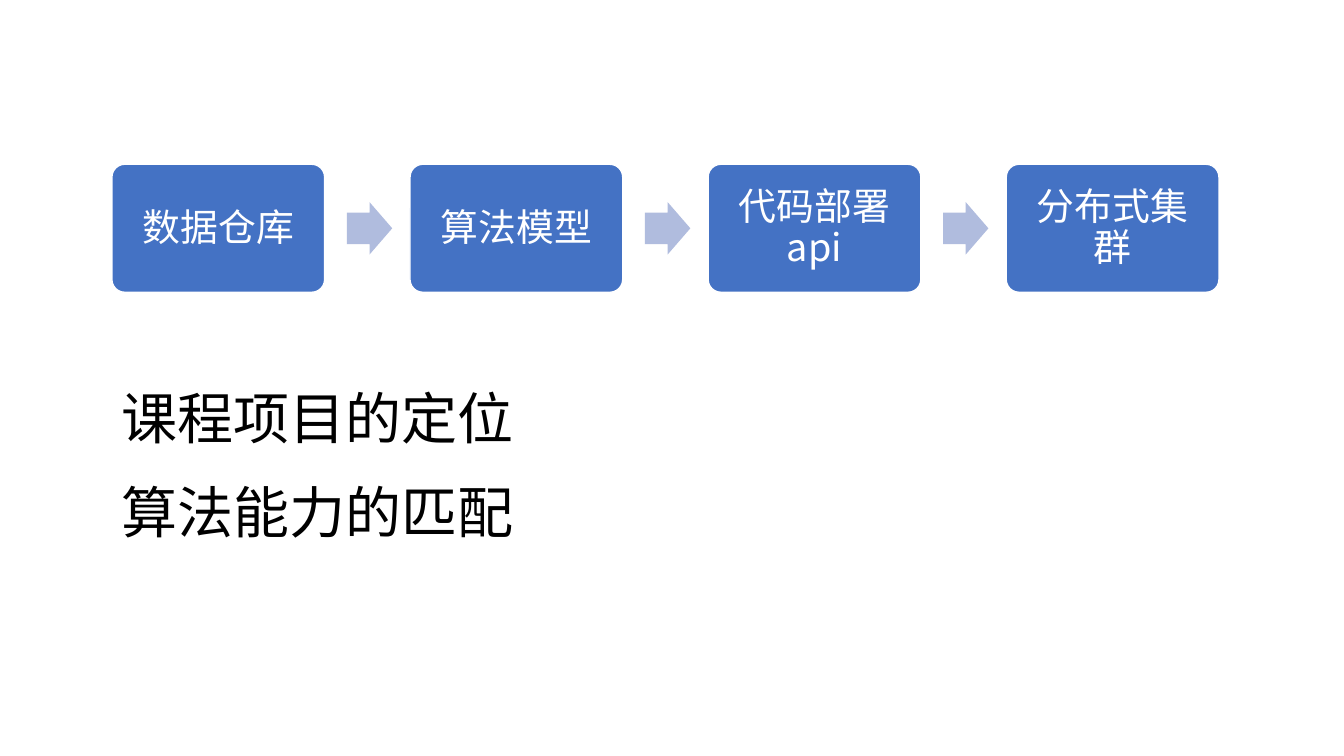
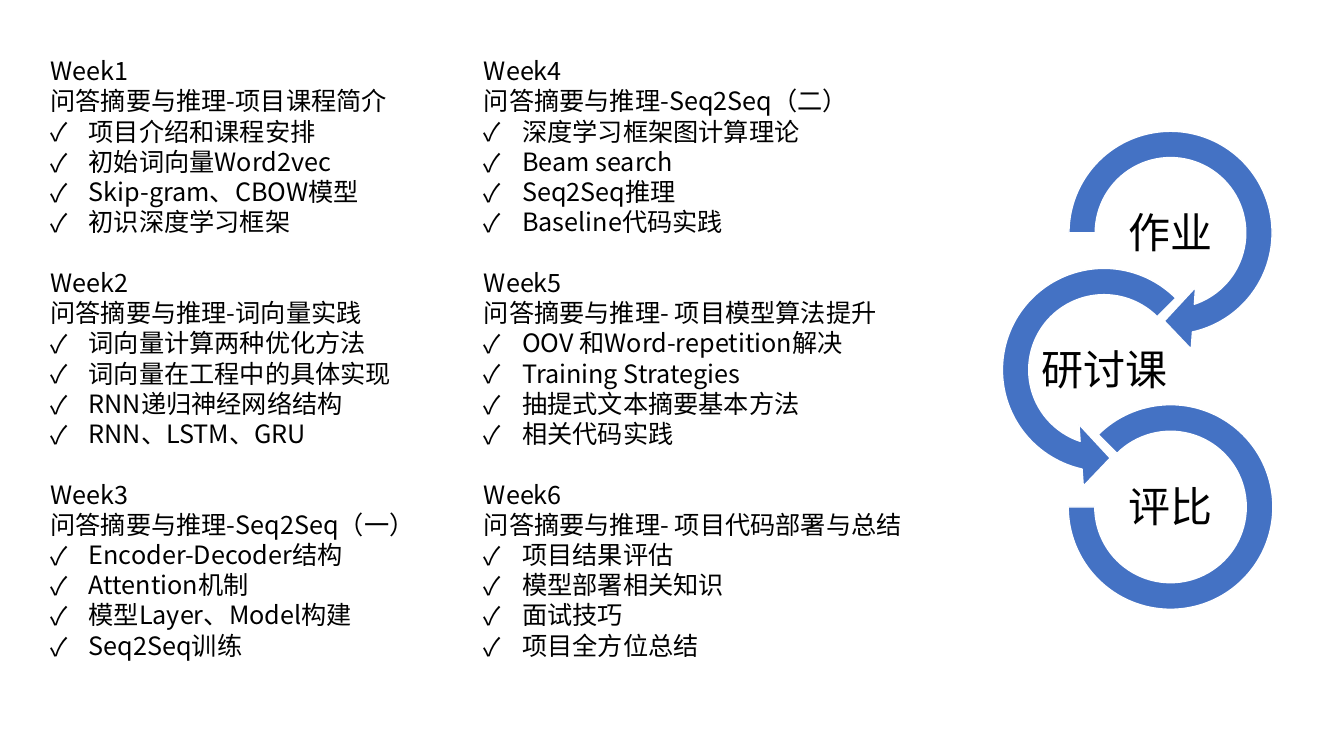
from lxml import etree
from pptx import Presentation
from pptx.dml.color import RGBColor
from pptx.enum import shapes, text
from pptx.oxml import ns
from pptx.util import Inches, Pt

BLUE = RGBColor(0x44, 0x72, 0xC4)
PALE_BLUE = RGBColor(0xB0, 0xBC, 0xDE)
WHITE = RGBColor(0xFF, 0xFF, 0xFF)
BLACK = RGBColor(0x00, 0x00, 0x00)
FONT = "Noto Sans CJK SC"
LEADING = 1.2
TIGHT_LEADING = 1.08

STAGES = ["数据仓库", "算法模型", "代码部署api", "分布式集群"]
AIMS = ["课程项目的定位", "算法能力的匹配"]

FIRST_WEEKS = [
    ("Week1", "问答摘要与推理-项目课程简介",
     ["项目介绍和课程安排", "初始词向量Word2vec", "Skip-gram、CBOW模型", "初识深度学习框架"]),
    ("Week2", "问答摘要与推理-词向量实践",
     ["词向量计算两种优化方法", "词向量在工程中的具体实现", "RNN递归神经网络结构", "RNN、LSTM、GRU"]),
    ("Week3", "问答摘要与推理-Seq2Seq（一）",
     ["Encoder-Decoder结构", "Attention机制", "模型Layer、Model构建", "Seq2Seq训练"]),
]
LAST_WEEKS = [
    ("Week4", "问答摘要与推理-Seq2Seq（二）",
     ["深度学习框架图计算理论", "Beam search", "Seq2Seq推理", "Baseline代码实践"]),
    ("Week5", "问答摘要与推理- 项目模型算法提升",
     ["OOV 和Word-repetition解决", "Training Strategies", "抽提式文本摘要基本方法", "相关代码实践"]),
    ("Week6", "问答摘要与推理- 项目代码部署与总结",
     ["项目结果评估", "模型部署相关知识", "面试技巧", "项目全方位总结"]),
]

PRESET = shapes.MSO_SHAPE
RINGS = [
    ("作业", PRESET.CIRCULAR_ARROW, 2.37, [0.11, 11.42, 45, 108, 0.13]),
    ("研讨课", PRESET.LEFT_CIRCULAR_ARROW, 2.37, [0.11, 11.42, 63, 189, 0.13]),
    ("评比", PRESET.BLOCK_ARC, 2.03, [135, 108, 0.13]),
]


def write(paragraph, words, size, color=BLACK, leading=LEADING,
          align=text.PP_ALIGN.LEFT, before=0):
    """Add one run of styled words to a paragraph."""
    paragraph.alignment = align
    paragraph.line_spacing = Pt(size * leading)
    paragraph.space_before = Pt(before)
    paragraph.space_after = Pt(0)
    run = paragraph.add_run()
    run.text = words
    run.font.size = Pt(size)
    run.font.color.rgb = color
    run.font.name = FONT
    etree.SubElement(run.font._element, ns.qn("a:ea"), typeface=FONT)


def set_bullet(paragraph, mark=None):
    """Give a paragraph a hanging mark, or none at all."""
    properties = paragraph._p.get_or_add_pPr()
    indent = Inches(0.38) if mark else 0
    properties.set("marL", str(indent))
    properties.set("indent", str(-indent))
    if mark:
        etree.SubElement(properties, ns.qn("a:buFont"), typeface=FONT)
        etree.SubElement(properties, ns.qn("a:buChar"), char=mark)
    else:
        etree.SubElement(properties, ns.qn("a:buNone"))


def set_frame(frame, inset, anchor):
    """Wrap a text frame, with one inset on all sides."""
    frame.word_wrap = True
    frame.auto_size = text.MSO_AUTO_SIZE.NONE
    frame.vertical_anchor = anchor
    frame.margin_left = frame.margin_right = Inches(inset)
    frame.margin_top = frame.margin_bottom = Inches(inset)


def add_figure(slide, preset, left, top, width, height, adjustments, fill, outlined=True):
    """Draw a flat preset shape."""
    figure = slide.shapes.add_shape(
        preset, Inches(left), Inches(top), Inches(width), Inches(height))
    for index, value in enumerate(adjustments):
        figure.adjustments[index] = value
    figure.shadow.inherit = False
    figure.fill.solid()
    figure.fill.fore_color.rgb = fill
    if outlined:
        figure.line.color.rgb = WHITE
        figure.line.width = Pt(1)
    else:
        figure.line.fill.background()
    return figure


def add_pipeline(slide, left, top, width, height):
    """Spread the stages over a row, with an arrow in each gap."""
    stage_width, arrow_width, arrow_height = 2.11, 0.45, 0.52
    step = (width - stage_width) / (len(STAGES) - 1)
    for index, name in enumerate(STAGES):
        x = left + index * step
        stage = add_figure(slide, PRESET.ROUNDED_RECTANGLE, x, top,
                           stage_width, height, [0.1], BLUE)
        set_frame(stage.text_frame, 0.11, text.MSO_ANCHOR.MIDDLE)
        write(stage.text_frame.paragraphs[0], name, 27, WHITE,
              TIGHT_LEADING, text.PP_ALIGN.CENTER)
        if index < len(STAGES) - 1:
            add_figure(slide, PRESET.RIGHT_ARROW, x + stage_width + 0.22,
                       top + (height - arrow_height) / 2, arrow_width,
                       arrow_height, [0.6, 0.5], PALE_BLUE, outlined=False)


def add_aims(slide, left, top, width):
    """Stack the large statements."""
    for index, aim in enumerate(AIMS):
        statement = slide.shapes.add_textbox(
            Inches(left), Inches(top + index * 0.93), Inches(width), Inches(0.77))
        frame = statement.text_frame
        set_frame(frame, 0.05, text.MSO_ANCHOR.TOP)
        frame.margin_left = frame.margin_right = Inches(0.1)
        write(frame.paragraphs[0], aim, 40)


def fill_weeks(column, weeks, left, top, width, height):
    """Place a body placeholder and list its weeks with ticked topics."""
    column.left, column.top = Inches(left), Inches(top)
    column.width, column.height = Inches(width), Inches(height)
    frame = column.text_frame
    set_frame(frame, 0.05, text.MSO_ANCHOR.TOP)
    frame.margin_left = frame.margin_right = Inches(0.1)
    size = 18
    for number, (week, subject, topics) in enumerate(weeks):
        lines = [(week, None), (subject, None)] + [(topic, "✓") for topic in topics]
        for row, (words, mark) in enumerate(lines):
            first = number == 0 and row == 0
            paragraph = frame.paragraphs[0] if first else frame.add_paragraph()
            set_bullet(paragraph, mark)
            gap = size * LEADING if number and row == 0 else 0
            write(paragraph, words, size, align=text.PP_ALIGN.JUSTIFY, before=gap)


def add_rings(slide, left, top):
    """Chain the rings downwards, swinging right and left."""
    label_width, label_height = 1.32, 0.66
    for index, (name, preset, size, adjustments) in enumerate(RINGS):
        center_x = left + (1.19 if index % 2 else 1.85)
        center_y = top + 1.19 + index * 1.36
        add_figure(slide, preset, center_x - size / 2, center_y - size / 2,
                   size, size, adjustments, BLUE)
        label = slide.shapes.add_textbox(
            Inches(center_x - label_width / 2),
            Inches(center_y + 0.01 - label_height / 2),
            Inches(label_width), Inches(label_height))
        set_frame(label.text_frame, 0.02, text.MSO_ANCHOR.MIDDLE)
        write(label.text_frame.paragraphs[0], name, 30, leading=TIGHT_LEADING,
              align=text.PP_ALIGN.CENTER)


def build_positioning(deck):
    """Build the slide on the project's stages and aims."""
    slide = deck.slides.add_slide(deck.slide_layouts[6])
    add_pipeline(slide, 1.11, 1.63, 10.98, 1.27)
    add_aims(slide, 1.11, 3.76, 4.9)


def build_schedule(deck):
    """Build the slide on the six weeks and the learning loop."""
    slide = deck.slides.add_slide(deck.slide_layouts[3])
    title = slide.shapes.title.element
    title.getparent().remove(title)
    first, last = slide.placeholders
    fill_weeks(first, FIRST_WEEKS, 0.4, 0.5, 4.3, 6.77)
    fill_weeks(last, LAST_WEEKS, 4.7, 0.5, 4.84, 6.77)
    add_rings(slide, 9.76, 1.12)


def main():
    """Build and save the deck."""
    deck = Presentation()
    deck.slide_width, deck.slide_height = Inches(13.33), Inches(7.5)
    build_positioning(deck)
    build_schedule(deck)
    deck.save("out.pptx")


if __name__ == "__main__":
    main()
